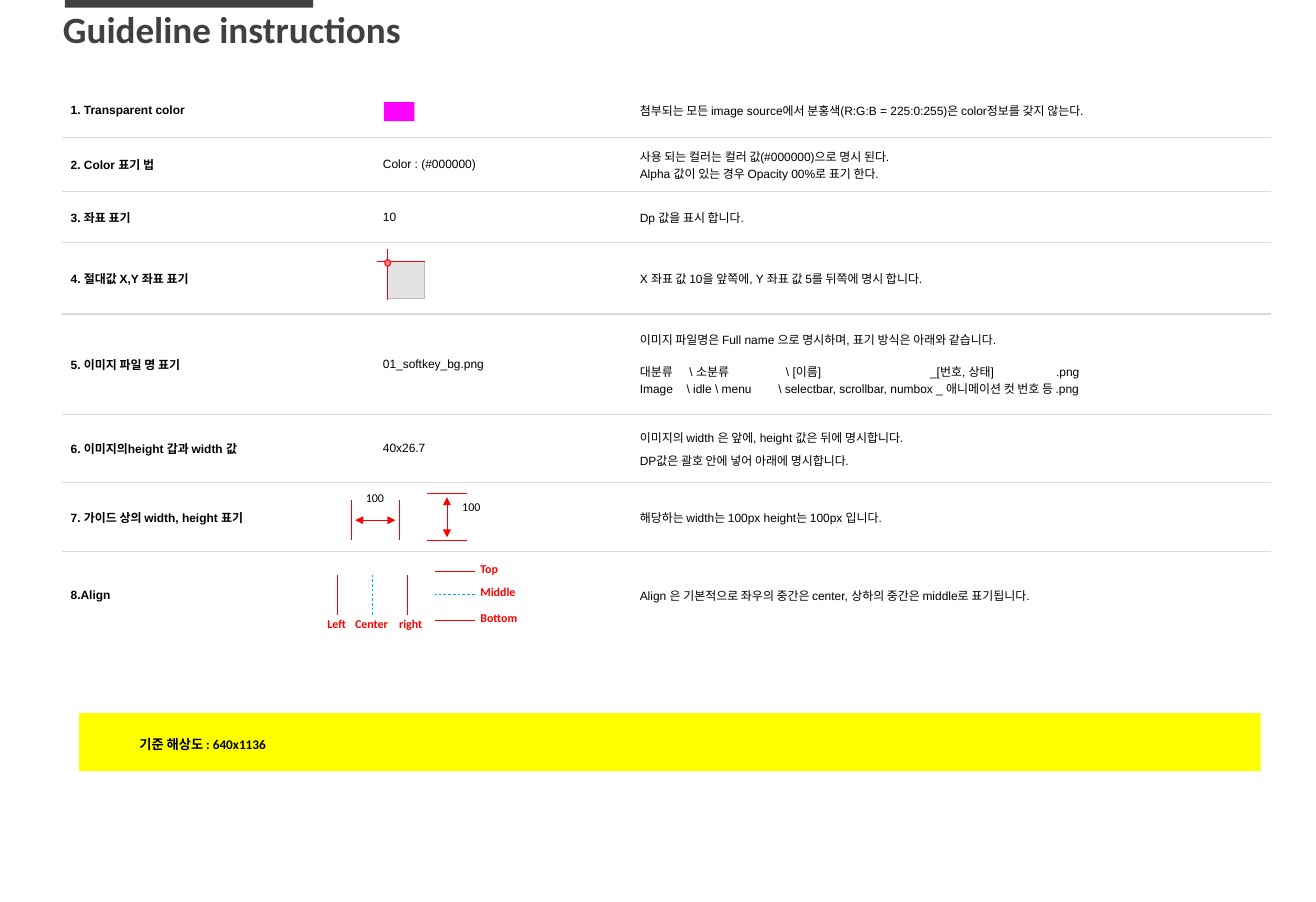
from lxml import etree
from pptx import Presentation
from pptx import util as u
from pptx.dml.color import RGBColor
from pptx.enum import dml, shapes, text
from pptx.oxml import ns

CELL = u.Inches(0.1)
RED, CYAN, BLACK, GREY, WHITE = "FF0000", "00B0F0", "000000", "D9D9D9", "FFFFFF"
TABLE_COLS = [32.7, 26.9, 66.8]
TABLE_ROWS = [5.6, 5.7, 5.3, 7.5, 10.5, 7.2, 7.2, 9.2]
GUIDELINES = [
    ("1. Transparent color", "",
     ["첨부되는 모든 image source에서 분홍색(R:G:B = 225:0:255)은 color정보를 갖지 않는다."]),
    ("2. Color 표기 법", "Color : (#000000)",
     ["사용 되는 컬러는 컬러 값(#000000)으로 명시 된다.",
      "Alpha 값이 있는 경우 Opacity 00%로 표기 한다."]),
    ("3. 좌표 표기", "10", ["Dp 값을 표시 합니다."]),
    ("4. 절대값 X,Y 좌표 표기", "",
     ["X 좌표 값 10을 앞쪽에, Y 좌표 값 5를 뒤쪽에 명시 합니다."]),
    ("5. 이미지 파일 명 표기", "01_softkey_bg.png",
     ["이미지 파일명은 Full name 으로 명시하며, 표기 방식은 아래와 같습니다.",
      "대분류\t\\ 소분류\t\\ [이름]\t_[번호, 상태]\t.png",
      "Image\t\\ idle \\ menu\t\\ selectbar, scrollbar, numbox _ 애니메이션 컷 번호 등 .png"]),
    ("6. 이미지의height 갑과 width 값", "40x26.7",
     ["이미지의 width 은 앞에, height 값은 뒤에 명시합니다.",
      "DP값은 괄호 안에 넣어 아래에 명시합니다."]),
    ("7. 가이드 상의 width, height 표기", "",
     ["해당하는 width는 100px height는 100px 입니다."]),
    ("8.Align", "",
     ["Align 은 기본적으로 좌우의 중간은 center, 상하의 중간은 middle로 표기됩니다."]),
]
SPACE_BEFORE = {(4, 1): 11, (5, 1): 4}
TAB_STOPS = {(4, 1): [5.2, 15.3, 30.4, 43.6], (4, 2): [4.9, 14.5]}


def grid(n):
    return round(n * CELL)


def rgb(value):
    return RGBColor.from_string(value)


def apply(target, values):
    for name, value in values.items():
        setattr(target, name, value)


def add_xml(parent, tag, **attributes):
    return etree.SubElement(parent, ns.qn(tag), attributes)


def write(p, words, font, size, color, bold):
    r = p.add_run()
    r.text = words
    apply(r.font, {"name": font, "size": u.Pt(size), "bold": bold})
    r.font.color.rgb = rgb(color)


def margins(side, top):
    return {"margin_left": grid(side), "margin_right": grid(side),
            "margin_top": grid(top), "margin_bottom": grid(top)}


def add_box(parent, kind, left, top, width, height, fill, line=None):
    sp = parent.add_shape(kind, *map(grid, (left, top, width, height)))
    sp.shadow.inherit = False
    sp.fill.solid()
    sp.fill.fore_color.rgb = rgb(fill)
    if line:
        sp.line.color.rgb = rgb(line)
        sp.line.width = u.Pt(0.75)
    else:
        sp.line.fill.background()


def add_label(parent, left, top, width, height, words, size=9, color=BLACK, bold=False,
              inset=(0.8, 0.4), spacing=0.5, align=text.PP_ALIGN.LEFT, wrap=False,
              fit=text.MSO_AUTO_SIZE.SHAPE_TO_FIT_TEXT):
    sp = parent.add_textbox(*map(grid, (left, top, width, height)))
    tf = sp.text_frame
    apply(tf, {**margins(*inset), "word_wrap": wrap, "auto_size": fit})
    p = tf.paragraphs[0]
    apply(p, {"line_spacing": spacing, "alignment": align})
    write(p, words, "Calibri", size, color, bold)


def add_line(parent, x1, y1, x2, y2, color=RED, width=0.5, dashed=False, arrows=False):
    c = parent.add_connector(shapes.MSO_CONNECTOR.STRAIGHT, *map(grid, (x1, y1, x2, y2)))
    c.line.color.rgb = rgb(color)
    c.line.width = u.Pt(width)
    if dashed:
        c.line.dash_style = dml.MSO_LINE.DASH
    if arrows:
        for end in ("a:headEnd", "a:tailEnd"):
            add_xml(c.line._ln, end, type="triangle")
    add_xml(c._element.spPr, "a:effectLst")


def add_borders(cell, top, bottom):
    tcPr = cell._tc.get_or_add_tcPr()
    for side, color in {"L": WHITE, "R": WHITE, "T": top, "B": bottom}.items():
        ln = add_xml(tcPr, f"a:ln{side}", w=str(u.Pt(1)))
        add_xml(add_xml(ln, "a:solidFill"), "a:srgbClr", val=color)


def fill_cell(cell, row, lines, bold):
    apply(cell, {**margins(0.8, 0.4), "vertical_anchor": text.MSO_ANCHOR.MIDDLE})
    add_borders(cell, GREY if row else WHITE,
                GREY if row < len(GUIDELINES) - 1 else WHITE)
    cell.fill.background()
    tf = cell.text_frame
    for i, words in enumerate(lines):
        p = tf.add_paragraph() if i else tf.paragraphs[0]
        p.space_before = u.Pt(SPACE_BEFORE.get((row, i), 0))
        if (row, i) in TAB_STOPS:
            tabs = add_xml(p._p.get_or_add_pPr(), "a:tabLst")
            for stop in TAB_STOPS[row, i]:
                add_xml(tabs, "a:tab", pos=str(grid(stop)), algn="l")
        if words:
            write(p, words, "Arial", 9, BLACK, bold)


def add_guidelines(s):
    frame = s.shapes.add_table(len(TABLE_ROWS), len(TABLE_COLS), grid(6.6), grid(8.8),
                               grid(sum(TABLE_COLS)), grid(sum(TABLE_ROWS)))
    table = frame.table
    apply(table, {"first_row": False, "horz_banding": False})
    for column, width in zip(table.columns, TABLE_COLS):
        column.width = grid(width)
    for row, height in zip(table.rows, TABLE_ROWS):
        row.height = grid(height)
    for i, (name, example, notes) in enumerate(GUIDELINES):
        for j, lines in enumerate(([name], [example], notes)):
            fill_cell(table.cell(i, j), i, lines, bold=j == 0)


def add_origin_mark(s):
    group = s.shapes.add_group_shape().shapes
    add_box(group, shapes.MSO_SHAPE.RECTANGLE, 40.6, 27.4, 3.9, 3.9, "E2E2E2", "BBBBBB")
    add_line(group, 39.5, 27.4, 44.5, 27.4, width=0.75)
    add_line(group, 40.6, 26.1, 40.6, 31.4, width=0.75)
    add_box(group, shapes.MSO_SHAPE.OVAL, 40.3, 27.2, 0.6, 0.7, "FF7F7F", RED)


def add_dimensions(s):
    across = s.shapes.add_group_shape().shapes
    for x in (36.8, 41.8):
        add_line(across, x, 52.4, x, 56.6)
    add_line(across, 41.4, 54.5, 37.2, 54.5, arrows=True)
    down = s.shapes.add_group_shape().shapes
    for y in (51.7, 56.6):
        add_line(down, 48.9, y, 44.7, y)
    add_line(down, 46.8, 52.1, 46.8, 56.3, arrows=True)
    for group, left, top in ((across, 37.3, 51.6), (down, 47.4, 52.5)):
        add_label(group, left, top, 3.9, 1.9, "100", inset=(1, 0.5),
                  align=text.PP_ALIGN.CENTER)


def add_align_marks(s):
    columns = [("Left", 33.4, 3.7), ("Center", 36.3, 5.2), ("right", 40.9, 4.2)]
    rows = [("Top", 59.9, 4), ("Middle", 62.3, 5.7), ("Bottom", 65, 5.9)]
    colors = [RED, CYAN, RED]
    for i, (words, left, width) in enumerate(columns):
        x = 35.3 + 3.7 * i
        add_line(s.shapes, x, 60.2, x, 64.4, colors[i], dashed=i == 1)
        add_label(s.shapes, left, 64.9, width, 1.6, words, color=RED, bold=True,
                  align=text.PP_ALIGN.CENTER)
    for i, (words, y, width) in enumerate(rows):
        add_line(s.shapes, 49.7, y, 45.5, y, colors[i], dashed=i == 1)
        add_label(s.shapes, 49.5, y - 0.8, width, 1.6, words, color=RED, bold=True)


def main():
    prs = Presentation()
    apply(prs, {"slide_width": grid(137.8), "slide_height": grid(94.5)})
    s = prs.slides.add_slide(prs.slide_layouts[6])
    rectangle = shapes.MSO_SHAPE.RECTANGLE
    add_box(s.shapes, rectangle, 6.8, 0, 26, 0.8, "404040")
    add_label(s.shapes, 6.6, 0.7, 69, 14.1, "Guideline instructions", 28, "404040", True,
              inset=(0, 0.5), spacing=0.9, wrap=True, fit=text.MSO_AUTO_SIZE.NONE)
    add_guidelines(s)
    add_box(s.shapes, rectangle, 40.2, 10.7, 3.2, 2, "FF00FF")
    add_origin_mark(s)
    add_dimensions(s)
    add_align_marks(s)
    add_box(s.shapes, rectangle, 8.3, 74.7, 123.7, 6.1, "FFFF00")
    add_label(s.shapes, 13.3, 76.5, 23.5, 2.4, " 기준 해상도 : 640x1136", 10, bold=True,
              inset=(1, 0.5), spacing=1.1, wrap=True, fit=text.MSO_AUTO_SIZE.NONE)
    prs.save("out.pptx")


if __name__ == "__main__":
    main()
